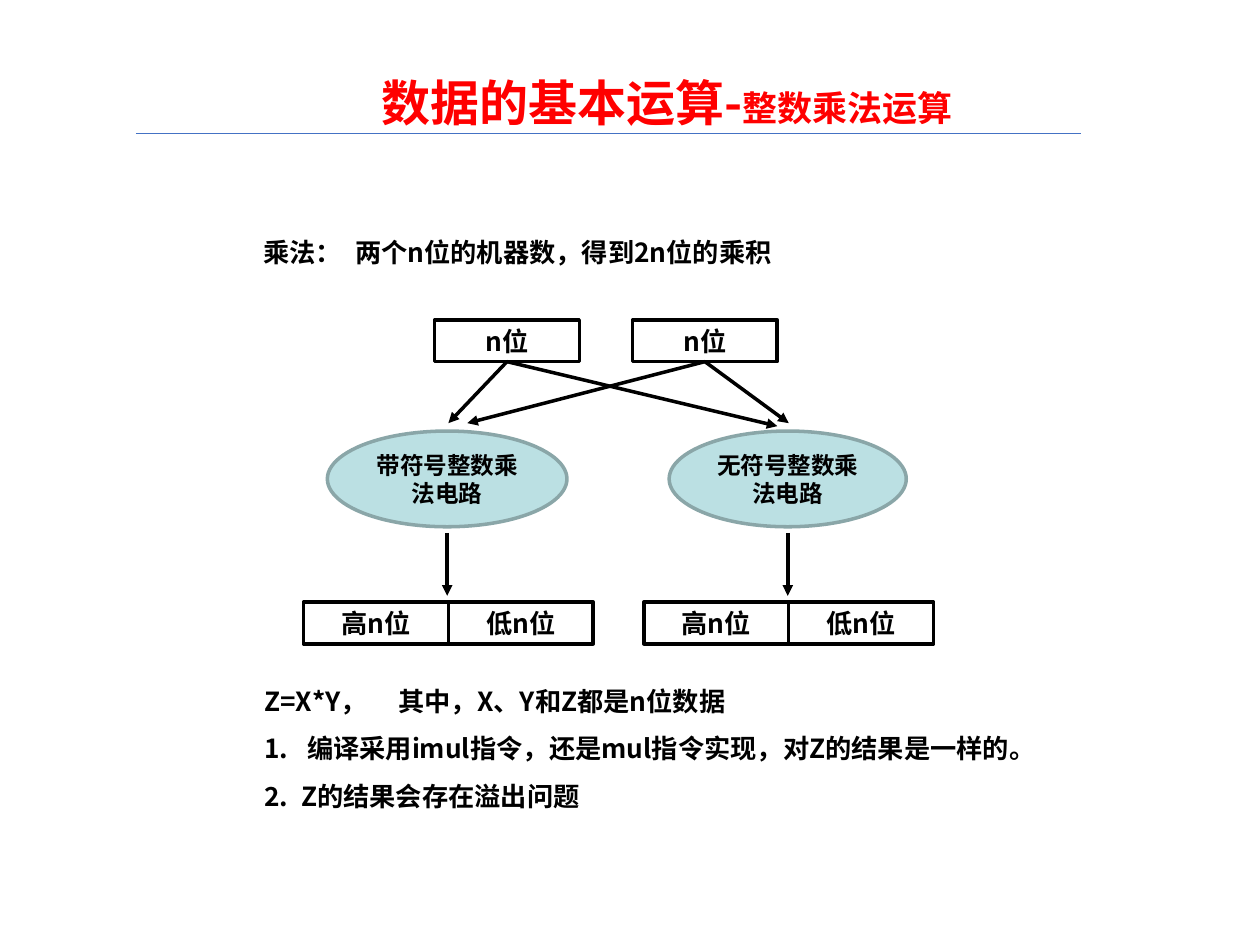
import pptx
import pptx.dml.color
import pptx.enum.shapes
import pptx.enum.text
import pptx.oxml
import pptx.oxml.ns
import pptx.util
from pptx.util import Cm, Pt

FONT = "Noto Sans CJK SC"
COLORS = {"title": "FF0000", "ink": "000000", "rule": "4472C4",
          "circuit": "BBE0E3", "circuit_edge": "8AA6A8"}
SHAPES = pptx.enum.shapes.MSO_SHAPE
ALIGN = pptx.enum.text.PP_ALIGN
ANCHOR = pptx.enum.text.MSO_ANCHOR
WORD_W, WORD_H = 2.92, 0.84


def color(name):
    return pptx.dml.color.RGBColor.from_string(COLORS[name])


def add_xml(parent, xml):
    namespace = pptx.oxml.ns.nsdecls("a")
    element = pptx.oxml.parse_xml(xml.replace("/>", f" {namespace}/>", 1)
                                  if xml.count("<") == 1
                                  else xml.replace(">", f" {namespace}>", 1))
    parent.append(element)


def style_paragraph(paragraph, size=None, ink="ink", align=ALIGN.LEFT):
    paragraph.alignment = align
    font = paragraph.font
    font.name = FONT
    font.bold = True
    font.color.rgb = color(ink)
    if size:
        font.size = Pt(size)
    defaults = paragraph._p.pPr.find(pptx.oxml.ns.qn("a:defRPr"))
    add_xml(defaults, f'<a:ea typeface="{FONT}"/>')


def add_title(slide, heading, topic):
    title = slide.shapes.title
    title.left, title.top, title.width, title.height = Cm(7.57), Cm(0.81), Cm(15.11), Cm(1.7)
    frame = title.text_frame
    frame.auto_size = pptx.enum.text.MSO_AUTO_SIZE.NONE
    frame.vertical_anchor = ANCHOR.TOP
    frame.margin_left = frame.margin_right = Cm(0.13)
    frame.margin_top = frame.margin_bottom = Cm(0.05)
    paragraph = frame.paragraphs[0]
    paragraph.line_spacing = 1.5
    for text, size in ((heading, 28), (topic, 20)):
        run = paragraph.add_run()
        run.text = text
        run.font.size = Pt(size)
    style_paragraph(paragraph, ink="title")


def add_text(slide, left, top, width, height, lines, inset=0.25, spacing=None):
    frame = slide.shapes.add_textbox(Cm(left), Cm(top), Cm(width), Cm(height)).text_frame
    frame.word_wrap = True
    frame.margin_left = Cm(inset)
    for index, (text, tab) in enumerate(lines):
        paragraph = frame.add_paragraph() if index else frame.paragraphs[0]
        paragraph.text = text
        if spacing:
            paragraph.line_spacing = spacing
        if index:
            paragraph.space_before = Pt(9)
        add_xml(paragraph._p.get_or_add_pPr(),
                f'<a:tabLst><a:tab pos="{Cm(tab)}" algn="l"/></a:tabLst>')
        style_paragraph(paragraph, 15)


def add_node(slide, kind, left, top, width, height, text, size, edge="ink", fill=None):
    node = slide.shapes.add_shape(kind, Cm(left), Cm(top), Cm(width), Cm(height))
    node.shadow.inherit = False
    if fill:
        node.fill.solid()
        node.fill.fore_color.rgb = color(fill)
    else:
        node.fill.background()
    node.line.color.rgb = color(edge)
    node.line.width = Pt(2)
    frame = node.text_frame
    frame.word_wrap = True
    frame.vertical_anchor = ANCHOR.MIDDLE
    frame.paragraphs[0].text = text
    style_paragraph(frame.paragraphs[0], size, align=ALIGN.CENTER)
    return node


def add_word(slide, left, top, text):
    return add_node(slide, SHAPES.RECTANGLE, left, top, WORD_W, WORD_H, text, 15)


def add_line(slide, start, end, ink="ink", width=2, arrow=True):
    line = slide.shapes.add_connector(pptx.enum.shapes.MSO_CONNECTOR.STRAIGHT,
                                      *map(Cm, start + end))
    line.line.color.rgb = color(ink)
    line.line.width = Pt(width)
    if arrow:
        add_xml(line.line._get_or_add_ln(), '<a:tailEnd type="triangle"/>')
    add_xml(line._element.spPr, "<a:effectLst/>")
    return line


def add_circuit(slide, left, width, text, product_left):
    add_node(slide, SHAPES.OVAL, left, 8.69, width, 1.93, text, 13.5,
             "circuit_edge", "circuit")
    middle = left + width / 2
    add_line(slide, (middle, 10.74), (middle, 12.01))
    for index, half in enumerate(("高n位", "低n位")):
        add_word(slide, product_left + index * WORD_W, 12.14, half)


def main():
    deck = pptx.Presentation()
    deck.slide_width, deck.slide_height = Cm(25.4), Cm(19.05)
    slide = deck.slides.add_slide(deck.slide_layouts[5])

    add_line(slide, (2.74, 2.69), (21.79, 2.69), "rule", 0.5, arrow=False)
    add_title(slide, "数据的基本运算-", "整数乘法运算")
    add_text(slide, 3.18, 4.57, 18.21, 0.91,
             [("乘法：\t两个n位的机器数，得到2n位的乘积", 1.85)], inset=2.13, spacing=1.1)
    add_text(slide, 5.08, 13.69, 16.36, 2.82, [
        ("Z=X*Y，\t其中，X、Y和Z都是n位数据", 2.7),
        ("1.\t编译采用imul指令，还是mul指令实现，对Z的结果是一样的。", 0.86),
        ("2.\tZ的结果会存在溢出问题", 0.74),
    ])

    add_circuit(slide, 6.6, 4.83, "带符号整数乘法电路", 6.12)
    add_circuit(slide, 13.49, 4.78, "无符号整数乘法电路", 12.98)
    operands = ((8.76, ((9.04, 8.53), (15.67, 8.59))),
                (12.75, ((9.42, 8.53), (15.9, 8.53))))
    for left, targets in operands:
        operand = add_word(slide, left, 6.45, "n位")
        for target in targets:
            arrow = add_line(slide, (left + WORD_W / 2, 6.45 + WORD_H), target)
            arrow.begin_connect(operand, 2)

    deck.save("out.pptx")


if __name__ == "__main__":
    main()
